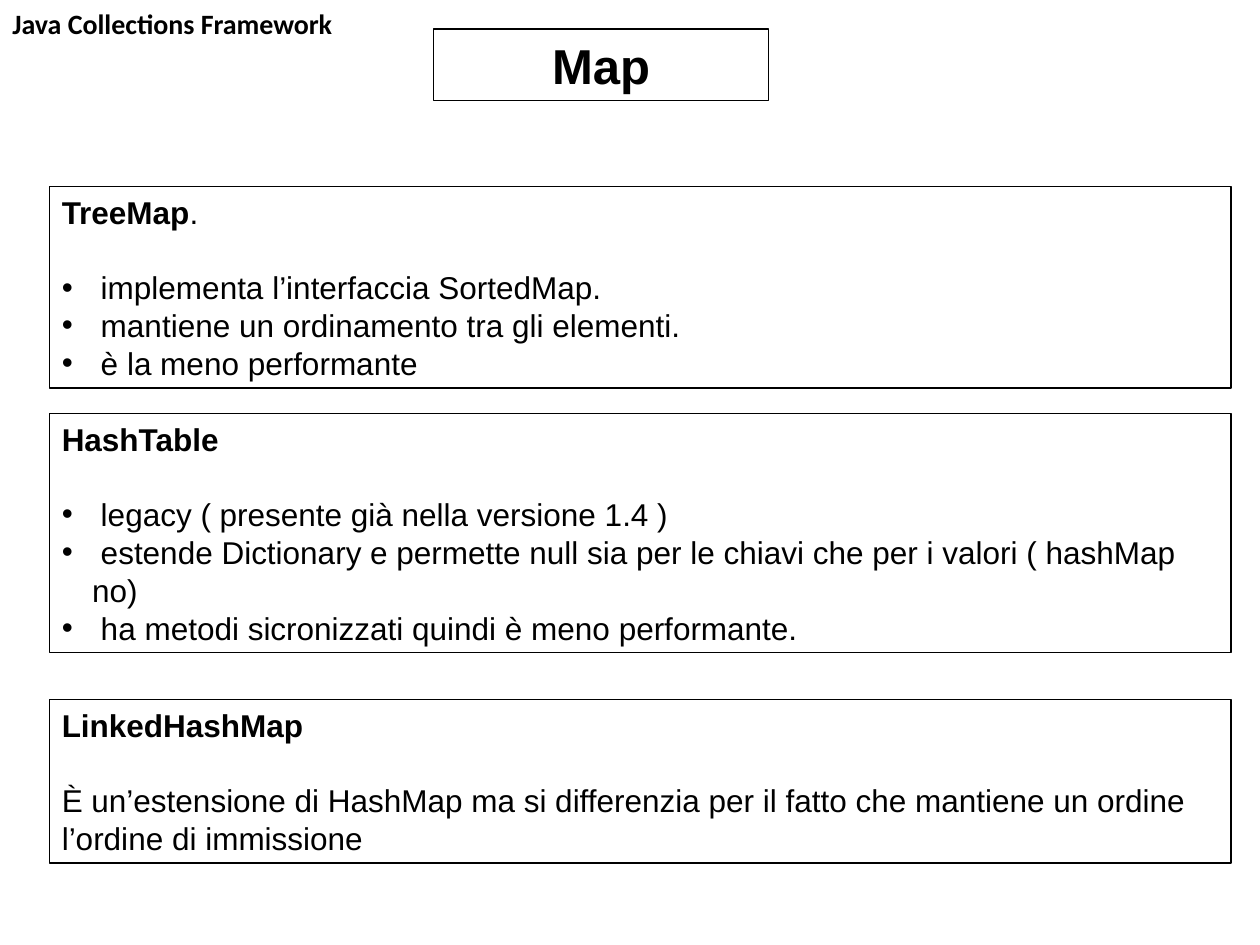
from lxml import etree
from pptx import Presentation
from pptx import util as u
from pptx.dml.color import RGBColor
from pptx.enum import text
from pptx.oxml import ns

BLACK = RGBColor(0x00, 0x00, 0x00)
COMPARISON_LAYOUT = 4  # a title and four body placeholders


class SlideBuilder:
    """Holds the style and the current slide."""

    font = "Arial"
    header_font = "Calibri"
    body_size = 18
    line_pitch = u.Pt(21.6)
    hang = u.Inches(0.24)

    def __init__(self, prs):
        self.s = prs.slides.add_slide(prs.slide_layouts[COMPARISON_LAYOUT])
        self.bodies = list(self.s.placeholders)[1:]

    def place(self, sp, left, top, width, height):
        sp.left, sp.top = u.Inches(left), u.Inches(top)
        sp.width, sp.height = u.Inches(width), u.Inches(height)

    def frame(self, sp, anchor):
        sp.line.color.rgb = BLACK
        sp.line.width = u.Pt(0.75)
        tf = sp.text_frame
        tf.word_wrap = True
        tf.auto_size = text.MSO_AUTO_SIZE.NONE
        tf.vertical_anchor = anchor

    def style(self, r, size, bold=False, font=None):
        r.font.name = font or self.font
        r.font.size = u.Pt(size)
        r.font.bold = bold
        r.font.color.rgb = BLACK

    def header(self, label, *box):
        sp = self.s.shapes.add_textbox(*[u.Inches(v) for v in box])
        tf = sp.text_frame
        tf.word_wrap = True
        tf.text = label
        self.style(tf.paragraphs[0].runs[0], 16, True, self.header_font)

    def title(self, label, *box):
        sp = self.s.shapes.title
        self.place(sp, *box)
        self.frame(sp, text.MSO_ANCHOR.MIDDLE)
        p = sp.text_frame.paragraphs[0]
        p.text = label
        p.alignment = text.PP_ALIGN.CENTER
        self.style(p.runs[0], 28, True)

    def bullet(self, p, shown):
        pPr = p._p.get_or_add_pPr()
        pPr.set("marL", str(self.hang if shown else 0))
        pPr.set("indent", str(-self.hang if shown else 0))
        if shown:
            clr = etree.SubElement(pPr, ns.qn("a:buClr"))
            etree.SubElement(clr, ns.qn("a:srgbClr"), val=str(BLACK))
            etree.SubElement(pPr, ns.qn("a:buFont"), typeface=self.font)
            etree.SubElement(pPr, ns.qn("a:buChar"), char="•")
        else:
            etree.SubElement(pPr, ns.qn("a:buNone"))

    def paragraph(self, p, bulleted=False, gap=0):
        p.alignment = text.PP_ALIGN.LEFT
        p.line_spacing = self.line_pitch
        p.space_before = u.Pt(0)
        p.space_after = gap
        self.bullet(p, bulleted)

    def panel(self, heading, tail, lines, bulleted, *box):
        sp = self.bodies.pop(0)
        self.place(sp, *box)
        self.frame(sp, text.MSO_ANCHOR.TOP)
        tf = sp.text_frame
        # Heading, set off by one line
        p = tf.paragraphs[0]
        p.text = heading
        self.style(p.runs[0], self.body_size, True)
        if tail:
            r = p.add_run()
            r.text = tail
            self.style(r, self.body_size)
        self.paragraph(p, gap=self.line_pitch)
        # Content
        for line in lines:
            p = tf.add_paragraph()
            p.text = line
            self.style(p.runs[0], self.body_size)
            self.paragraph(p, bulleted)

    def remove_unused(self):
        for sp in self.bodies:
            sp.element.getparent().remove(sp.element)


# Heading, text after it, lines, bulleted, top, height
PANELS = [
    ("TreeMap", ".",
     [" implementa l’interfaccia SortedMap.",
      " mantiene un ordinamento tra gli elementi.",
      " è la meno performante"], True, 1.48, 1.6),
    ("HashTable", "",
     [" legacy ( presente già nella versione 1.4 )",
      " estende Dictionary e permette null sia per le chiavi"
      " che per i valori ( hashMap no)",
      " ha metodi sicronizzati quindi è meno performante."], True, 3.28, 1.9),
    ("LinkedHashMap", "",
     ["È un’estensione di HashMap ma si differenzia per il fatto che"
      " mantiene un ordine l’ordine di immissione"], False, 5.55, 1.3),
]


def main():
    prs = Presentation()
    prs.slide_width, prs.slide_height = u.Inches(10), u.Inches(7.5)
    b = SlideBuilder(prs)

    # Header and title
    b.header("Java Collections Framework", 0, 0, 3.2, 0.37)
    b.title("Map", 3.44, 0.23, 2.66, 0.57)

    # One panel for each kind of map
    for heading, tail, lines, bulleted, top, height in PANELS:
        b.panel(heading, tail, lines, bulleted, 0.39, top, 9.38, height)
    b.remove_unused()

    prs.save("out.pptx")


if __name__ == "__main__":
    main()
